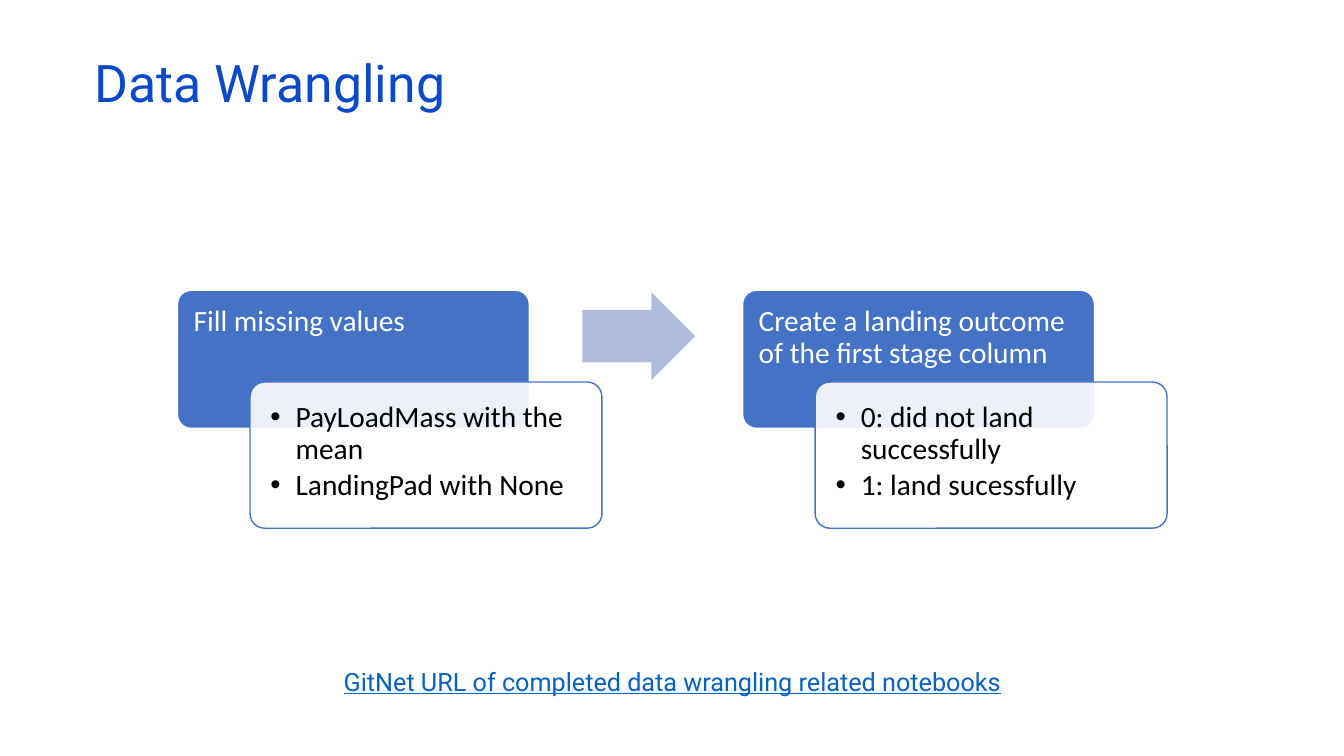
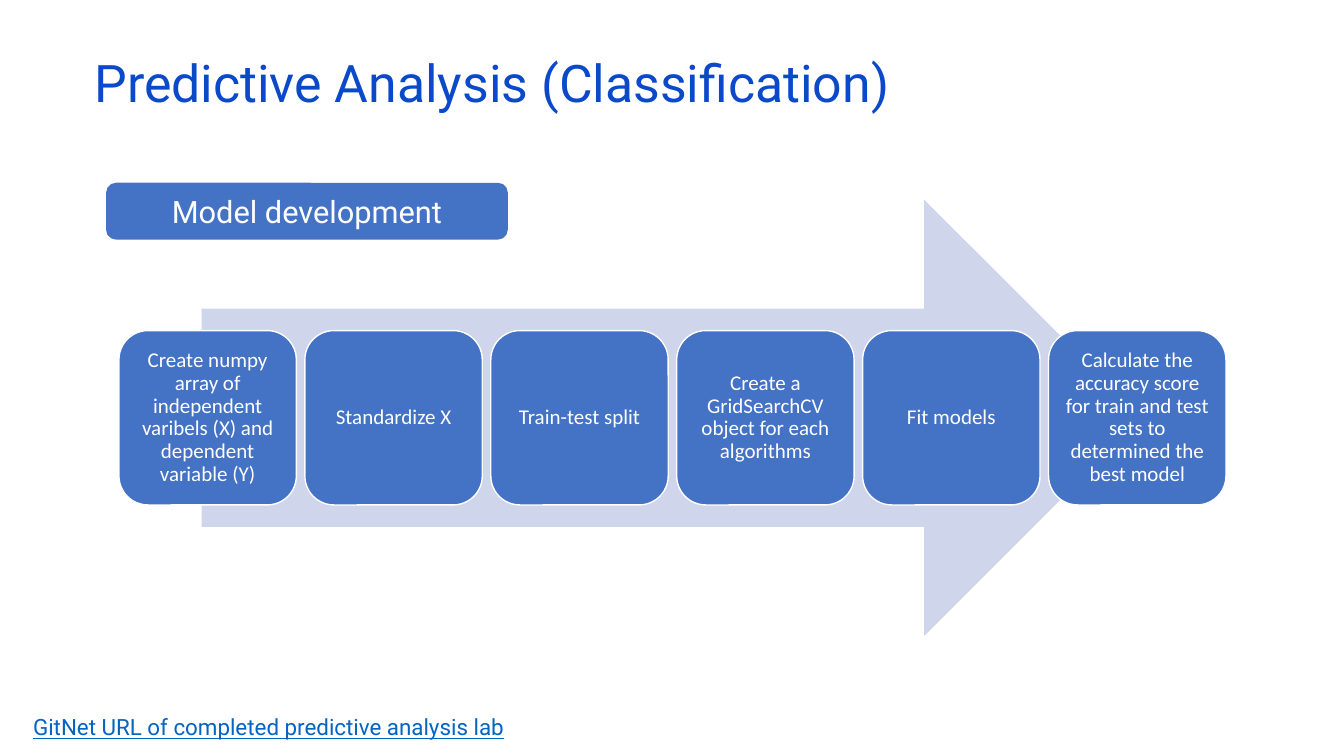
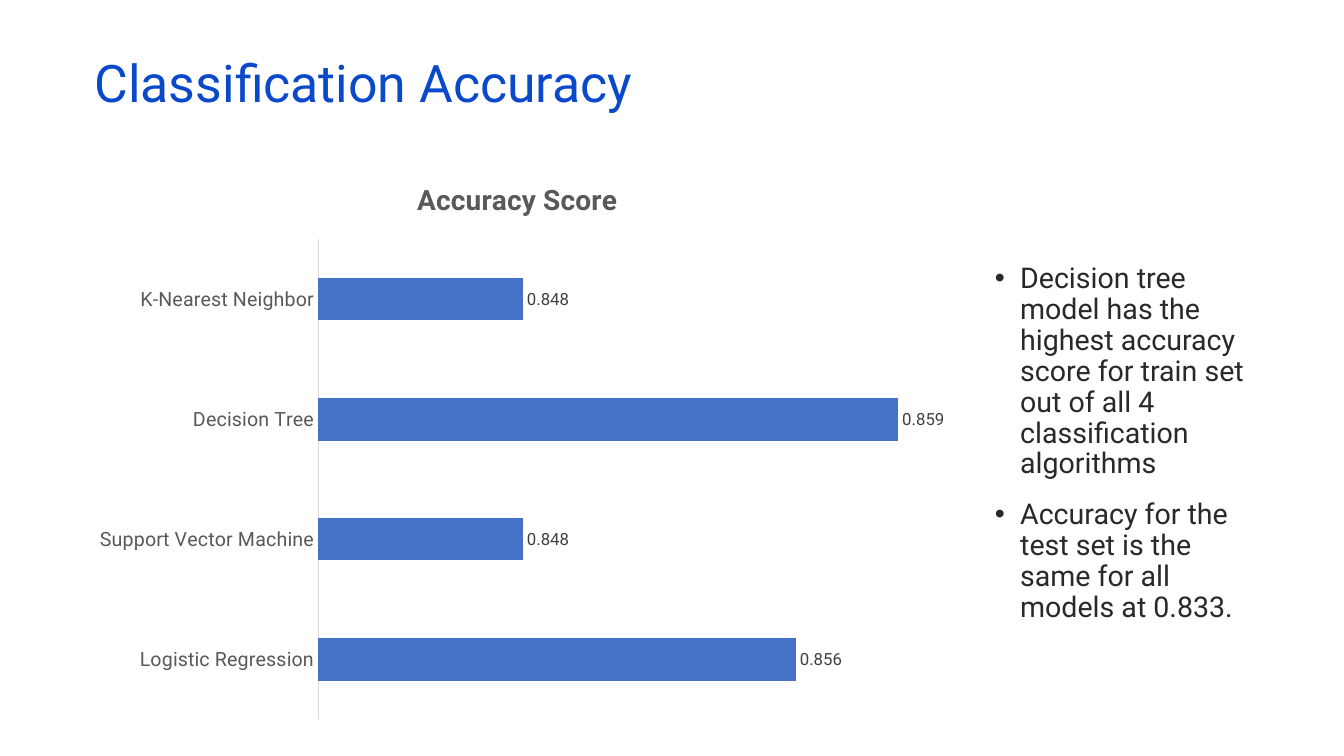
from lxml import etree
from pptx import Presentation
from pptx.chart.data import CategoryChartData
from pptx.dml.color import RGBColor
from pptx.enum.chart import XL_CHART_TYPE, XL_LABEL_POSITION, XL_TICK_MARK
from pptx.enum.shapes import MSO_SHAPE
from pptx.enum.text import MSO_ANCHOR, PP_ALIGN
from pptx.oxml.ns import qn
from pptx.util import Inches, Pt

ROUNDED = MSO_SHAPE.ROUNDED_RECTANGLE
ARROW = MSO_SHAPE.RIGHT_ARROW
LEFT, CENTER = PP_ALIGN.LEFT, PP_ALIGN.CENTER
TOP, MIDDLE = MSO_ANCHOR.TOP, MSO_ANCHOR.MIDDLE
BAR = XL_CHART_TYPE.BAR_CLUSTERED
OUTSIDE_END = XL_LABEL_POSITION.OUTSIDE_END
NO_TICK = XL_TICK_MARK.NONE

WHITE = RGBColor(0xFF, 0xFF, 0xFF)
BLACK = RGBColor(0x00, 0x00, 0x00)
TITLE_BLUE = RGBColor(0x0B, 0x49, 0xCB)
LINK_BLUE = RGBColor(0x05, 0x63, 0xC1)
BLUE = RGBColor(0x44, 0x72, 0xC4)
ARROW_BLUE = RGBColor(0xB0, 0xBC, 0xDE)
PALE_BLUE = RGBColor(0xCF, 0xD5, 0xEA)
BODY_GREY = RGBColor(0x29, 0x29, 0x29)
LABEL_GREY = RGBColor(0x40, 0x40, 0x40)
AXIS_GREY = RGBColor(0x59, 0x59, 0x59)
RULE_GREY = RGBColor(0xD9, 0xD9, 0xD9)
HEADING_FONT, DIAGRAM_FONT = "Roboto", "Calibri"

WRANGLING_STAGES = [
    ("Fill missing values",
     ["PayLoadMass with the mean", "LandingPad with None"]),
    ("Create a landing outcome of the first stage column",
     ["0: did not land successfully", "1: land sucessfully"]),
]
WRANGLING_LINK = "GitNet URL of completed data wrangling related notebooks"

MODEL_HEADING = "Model development"
MODEL_STEPS = [
    "Create numpy array of independent varibels (X) and dependent variable (Y)",
    "Standardize X",
    "Train-test split",
    "Create a GridSearchCV object for each algorithms",
    "Fit models",
    "Calculate the accuracy score for train and test sets to determined the best model",
]
MODEL_LINK = "GitNet URL of completed predictive analysis lab"

ACCURACY = {
    "Logistic Regression": 0.856,
    "Support Vector Machine": 0.848,
    "Decision Tree": 0.859,
    "K-Nearest Neighbor": 0.848,
}
ACCURACY_NOTES = [
    "Decision tree model has the highest accuracy score for train set "
    "out of all 4 classification algorithms",
    "Accuracy for the test set is the same for all models at 0.833.",
]


def set_font(font, size, color, name=HEADING_FONT, bold=False):
    font.size, font.name, font.bold = Pt(size), name, bold
    font.color.rgb = color


def write(shape, paragraphs, size=18, color=WHITE, font=HEADING_FONT, align=LEFT,
          anchor=TOP, insets=(0.1, 0.05), spacing=1, before=0, after=0,
          bullets=False, underline=None):
    """Fill a shape with paragraphs; before is the gap above all but the first."""
    frame = shape.text_frame
    frame.word_wrap = True
    frame.vertical_anchor = anchor
    frame.margin_left = frame.margin_right = Inches(insets[0])
    frame.margin_top = frame.margin_bottom = Inches(insets[1])
    for index, text in enumerate(paragraphs):
        paragraph = frame.add_paragraph() if index else frame.paragraphs[0]
        if bullets:
            props = paragraph._p.get_or_add_pPr()
            props.set("marL", str(Inches(0.25)))
            props.set("indent", str(-Inches(0.25)))
            etree.SubElement(props, qn("a:buFont")).set("typeface", "Arial")
            etree.SubElement(props, qn("a:buChar")).set("char", "•")
        paragraph.alignment = align
        paragraph.line_spacing = spacing
        paragraph.space_before = Pt(before if index else 0)
        paragraph.space_after = Pt(after)
        run = paragraph.add_run()
        run.text = text
        set_font(run.font, size, color, font)
        run.font.underline = underline


def add_text(slide, box, paragraphs, **text_format):
    write(slide.shapes.add_textbox(*map(Inches, box)), paragraphs, **text_format)


def add_block(slide, preset, box, fill, line=None, adjustments=(), opacity=None):
    block = slide.shapes.add_shape(preset, *map(Inches, box))
    block.shadow.inherit = False
    for index, value in enumerate(adjustments):
        block.adjustments[index] = value
    block.fill.solid()
    block.fill.fore_color.rgb = fill
    if opacity is not None:
        tint = block._element.spPr.find(qn("a:solidFill"))[0]
        etree.SubElement(tint, qn("a:alpha")).set("val", str(opacity * 1000))
    if line is None:
        block.line.fill.background()
    else:
        block.line.color.rgb = line
        block.line.width = Pt(1)
    return block


def add_titled_slide(deck, title):
    slide = deck.slides.add_slide(deck.slide_layouts[6])
    add_text(slide, (0.84, 0.59, 11.5, 0.6), [title], size=37, color=TITLE_BLUE,
             anchor=MIDDLE, spacing=0.7)
    return slide


def build_wrangling(deck):
    slide = add_titled_slide(deck, "Data Wrangling")
    left, top, pitch = 1.76, 2.88, 5.605
    for index, (heading, details) in enumerate(WRANGLING_STAGES):
        x = left + index * pitch
        if index:
            add_block(slide, ARROW, (x - 1.59, top + 0.02, 1.12, 0.87), ARROW_BLUE,
                      adjustments=(0.6, 0.5))
        header = add_block(slide, ROUNDED, (x, top, 3.49, 1.37), BLUE, WHITE, (0.1,))
        write(header, [heading], size=21, font=DIAGRAM_FONT, insets=(0.12, 0.12),
              spacing=0.9)
        detail = add_block(slide, ROUNDED, (x + 0.72, top + 0.91, 3.49, 1.45), WHITE,
                           BLUE, (0.1,), opacity=90)
        write(detail, details, size=21, color=BLACK, font=DIAGRAM_FONT,
              insets=(0.16, 0.16), spacing=0.9, after=3, bullets=True)
    add_text(slide, (3.25, 6.59, 6.84, 0.52), [WRANGLING_LINK], size=18,
             color=LINK_BLUE, align=CENTER, spacing=0.9, underline=True)


def build_model_process(deck):
    slide = add_titled_slide(deck, "Predictive Analysis (Classification)")
    badge = add_block(slide, ROUNDED, (1.06, 1.82, 3.97, 0.55), BLUE, BLUE)
    write(badge, [MODEL_HEADING], size=22, align=CENTER, anchor=MIDDLE)
    add_block(slide, ARROW, (2, 1.98, 9.33, 4.33), PALE_BLUE)
    left, width, gap = 1.18, 1.76, 0.084
    for index, step in enumerate(MODEL_STEPS):
        card = add_block(slide, ROUNDED,
                         (left + index * (width + gap), 3.28, width, 1.73), BLUE, WHITE)
        write(card, [step], size=15, font=DIAGRAM_FONT, align=CENTER, anchor=MIDDLE,
              insets=(0.06, 0.06), spacing=0.9)
    add_text(slide, (0.23, 7.03, 6.89, 0.37), [MODEL_LINK], size=16, color=LINK_BLUE,
             underline=True)


def place_plot(chart, **fractions):
    """Fix the inner plot area as fractions of the chart."""
    plot_area = chart._chartSpace.chart.plotArea
    layout = plot_area.find(qn("c:layout"))
    if layout is None:
        layout = etree.Element(qn("c:layout"))
        plot_area.insert(0, layout)
    manual = etree.SubElement(layout, qn("c:manualLayout"))
    settings = {"layoutTarget": "inner", "xMode": "edge", "yMode": "edge", **fractions}
    for tag, value in settings.items():
        etree.SubElement(manual, qn("c:" + tag)).set("val", str(value))


def build_accuracy(deck):
    slide = add_titled_slide(deck, "Classification Accuracy")
    data = CategoryChartData(number_format="0.000")
    data.categories = list(ACCURACY)
    data.add_series("Series 1", list(ACCURACY.values()))
    chart = slide.shapes.add_chart(
        BAR, *map(Inches, (0.84, 1.58, 8.58, 5.67)), data).chart
    set_font(chart.font, 10, BLACK)
    chart.has_legend = False
    chart.has_title = True
    heading = chart.chart_title.text_frame.paragraphs[0].add_run()
    heading.text = "Accuracy Score"
    set_font(heading.font, 20, AXIS_GREY, bold=True)

    names, scores = chart.category_axis, chart.value_axis
    names.major_tick_mark = names.minor_tick_mark = NO_TICK
    names.format.line.color.rgb = RULE_GREY
    names.format.line.width = Pt(0.75)
    set_font(names.tick_labels.font, 14, AXIS_GREY)
    scores.minimum_scale, scores.maximum_scale = 0.842, 0.86
    scores.has_major_gridlines = False
    scores.visible = False

    plot = chart.plots[0]
    plot.gap_width = 182
    plot.vary_by_categories = False
    bars = plot.series[0].format.fill
    bars.solid()
    bars.fore_color.rgb = BLUE
    plot.has_data_labels = True
    labels = plot.data_labels
    labels.show_value = True
    labels.position = OUTSIDE_END
    set_font(labels.font, 12, LABEL_GREY)
    place_plot(chart, x=0.27, y=0.14, w=0.71, h=0.84)

    add_text(slide, (9.77, 2.57, 2.84, 3.54), ACCURACY_NOTES, size=20.4,
             color=BODY_GREY, spacing=0.9, before=14, bullets=True)


def main():
    deck = Presentation()
    deck.slide_width, deck.slide_height = Inches(13.33), Inches(7.5)
    build_wrangling(deck)
    build_model_process(deck)
    build_accuracy(deck)
    deck.save("out.pptx")


if __name__ == "__main__":
    main()
